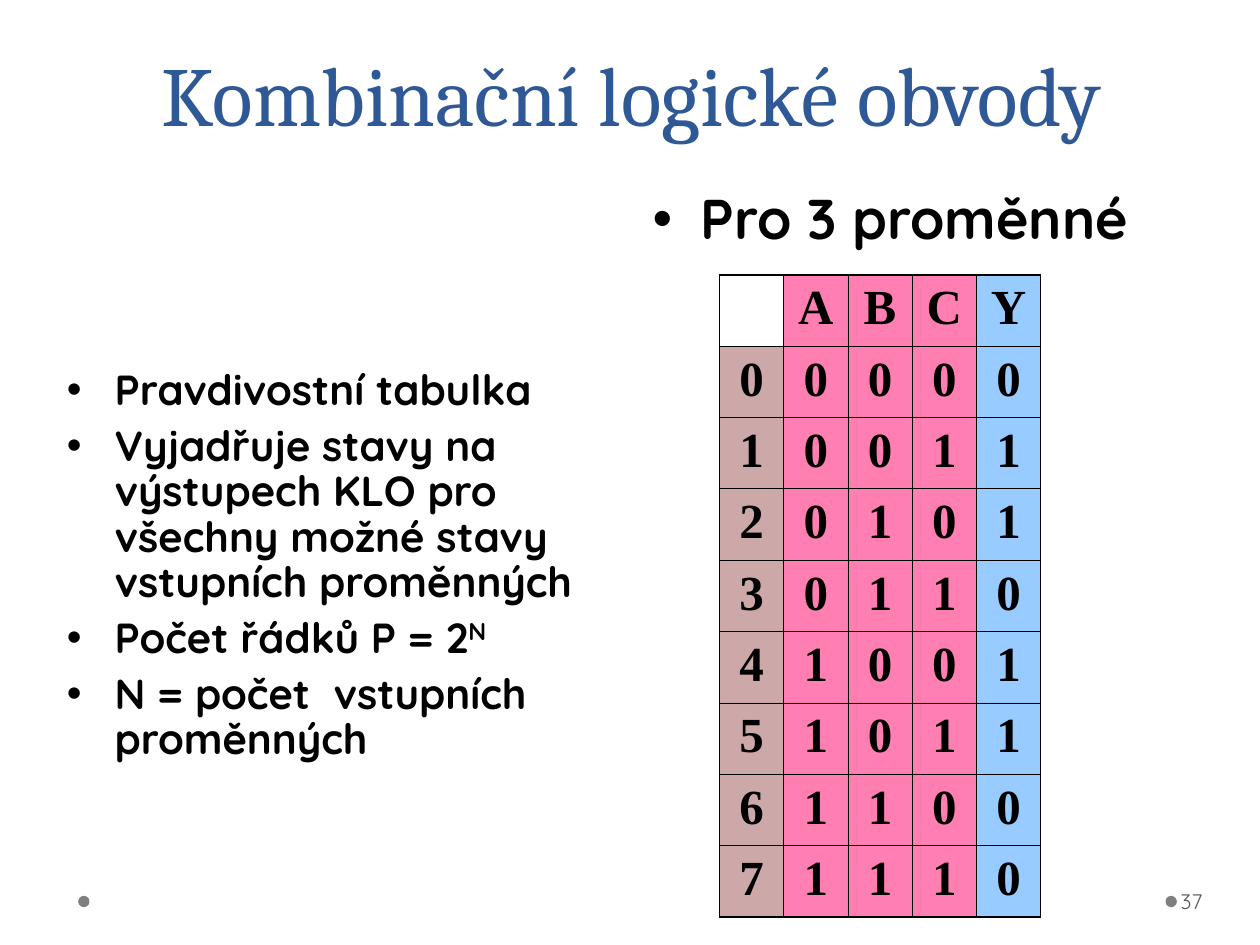
from lxml import etree
from pptx import Presentation
from pptx import util as u
from pptx.dml.color import RGBColor
from pptx.enum import shapes, text
from pptx.oxml.ns import qn

COLOURS = {
    "title": "2F5897",
    "ink": "000000",
    "dot": "7F7F7F",
    "number": "595959",
    "index": "9C5252",
    "input": "FF0066",
    "output": "3399FF",
}
BODY_FONT = "Quicksand"
INPUTS = "ABC"
OUTPUT_VALUES = "01101100"
THIN, THICK = 0.45, 1.08


def colour(name):
    return RGBColor.from_string(COLOURS[name])


def set_font(font, name, size, ink, bold=False):
    font.name = name
    font.size = u.Pt(size)
    font.bold = bold
    font.color.rgb = colour(ink)


def place(shape, left, top, width, height):
    shape.left, shape.top = u.Inches(left), u.Inches(top)
    shape.width, shape.height = u.Inches(width), u.Inches(height)


def fill_title(title, words):
    place(title, 0.51, 0.28, 9, 0.91)
    frame = title.text_frame
    frame.auto_size = text.MSO_AUTO_SIZE.NONE
    frame.vertical_anchor = text.MSO_ANCHOR.BOTTOM
    frame.text = words
    para = frame.paragraphs[0]
    para.alignment = text.PP_ALIGN.CENTER
    para.line_spacing = u.Pt(58)
    set_font(para.font, "Cambria", 48, "title")


def add_bullet(para):
    props = para._p.get_or_add_pPr()
    props.set("marL", str(u.Inches(0.38)))
    props.set("indent", str(u.Inches(-0.38)))
    bullet_font = etree.SubElement(props, qn("a:buFont"))
    bullet_font.set("typeface", "Arial")
    etree.SubElement(props, qn("a:buChar")).set("char", "•")


def fill_list(box, items, size):
    """Write bulleted items; each is a list of (words, raised) spans."""
    frame = box.text_frame
    frame.auto_size = text.MSO_AUTO_SIZE.NONE
    frame.vertical_anchor = text.MSO_ANCHOR.TOP
    for number, item in enumerate(items):
        para = frame.add_paragraph() if number else frame.paragraphs[0]
        add_bullet(para)
        para.line_spacing = 0.9
        para.space_before = u.Pt(6 if number else 0)
        set_font(para.font, BODY_FONT, size, "ink", bold=True)
        for words, raised in item:
            span = para.add_run()
            span.text = words
            if raised:
                span.font._element.set("baseline", "30000")


def add_border(cell, side, width):
    line = etree.SubElement(cell._tc.get_or_add_tcPr(), qn(f"a:ln{side}"))
    line.set("w", str(u.Pt(width)))
    fill = etree.SubElement(line, qn("a:solidFill"))
    etree.SubElement(fill, qn("a:srgbClr")).set("val", COLOURS["ink"])


def fill_half_transparent(cell, name):
    cell.fill.solid()
    cell.fill.fore_color.rgb = colour(name)
    shade = cell._tc.tcPr.find(".//" + qn("a:solidFill") + "[last()]/"
                               + qn("a:srgbClr") + f"[@val='{COLOURS[name]}']")
    etree.SubElement(shade, qn("a:alpha")).set("val", "50000")


def add_truth_table(slide):
    rows = [["", *INPUTS, "Y"]]
    for index, result in enumerate(OUTPUT_VALUES):
        rows.append([str(index), *f"{index:03b}", result])
    fills = ["index"] + ["input"] * len(INPUTS) + ["output"]
    last_row, last_column = len(rows) - 1, len(fills) - 1

    frame = slide.shapes.add_table(len(rows), len(fills), u.Inches(5.71), u.Inches(2.18),
                                   u.Inches(2.55), u.Inches(5.1))
    table = frame.table
    table.first_row = table.horz_banding = False
    for r, values in enumerate(rows):
        for c, value in enumerate(values):
            cell = table.cell(r, c)
            outer = {"L": c == 0, "R": c == last_column, "T": r == 0, "B": r == last_row}
            for side, is_outer in outer.items():
                add_border(cell, side, THICK if is_outer else THIN)
            if value:
                fill_half_transparent(cell, fills[c])
            else:
                cell.fill.background()
            cell.text = value
            para = cell.text_frame.paragraphs[0]
            para.alignment = text.PP_ALIGN.CENTER
            set_font(para.font, "Times New Roman", 28, "ink", bold=True)


def add_dot(slide, left):
    dot = slide.shapes.add_shape(shapes.MSO_SHAPE.OVAL, u.Inches(left), u.Inches(7.11),
                                 u.Inches(0.09), u.Inches(0.09))
    dot.shadow.inherit = False
    dot.fill.solid()
    dot.fill.fore_color.rgb = colour("dot")
    dot.line.fill.background()


def add_page_number(slide, number):
    box = slide.shapes.add_textbox(u.Inches(9.34), u.Inches(6.95), u.Inches(0.61), u.Inches(0.4))
    frame = box.text_frame
    frame.word_wrap = True
    frame.vertical_anchor = text.MSO_ANCHOR.MIDDLE
    frame.margin_left, frame.margin_right = u.Inches(0.03), u.Inches(0.05)
    frame.text = number
    set_font(frame.paragraphs[0].font, BODY_FONT, 12, "number")


def main():
    deck = Presentation()
    deck.slide_width, deck.slide_height = u.Inches(10), u.Inches(7.5)
    slide = deck.slides.add_slide(deck.slide_layouts.get_by_name("Two Content"))
    title, explanation, heading = slide.placeholders

    for left in (9.25, 0.62):
        add_dot(slide, left)
    fill_title(title, "Kombinační logické obvody")
    place(explanation, 0.43, 2.88, 4.42, 4.13)
    fill_list(explanation, [
        [("Pravdivostní tabulka", False)],
        [("Vyjadřuje stavy na výstupech KLO pro všechny možné stavy vstupních proměnných", False)],
        [("Počet řádků P = 2", False), ("N", True)],
        [("N = počet  vstupních proměnných", False)],
    ], 24)
    place(heading, 5.08, 1.47, 4.42, 0.63)
    fill_list(heading, [[("Pro 3 proměnné", False)]], 32)
    add_truth_table(slide)
    add_page_number(slide, "37")
    deck.save("out.pptx")


if __name__ == "__main__":
    main()
